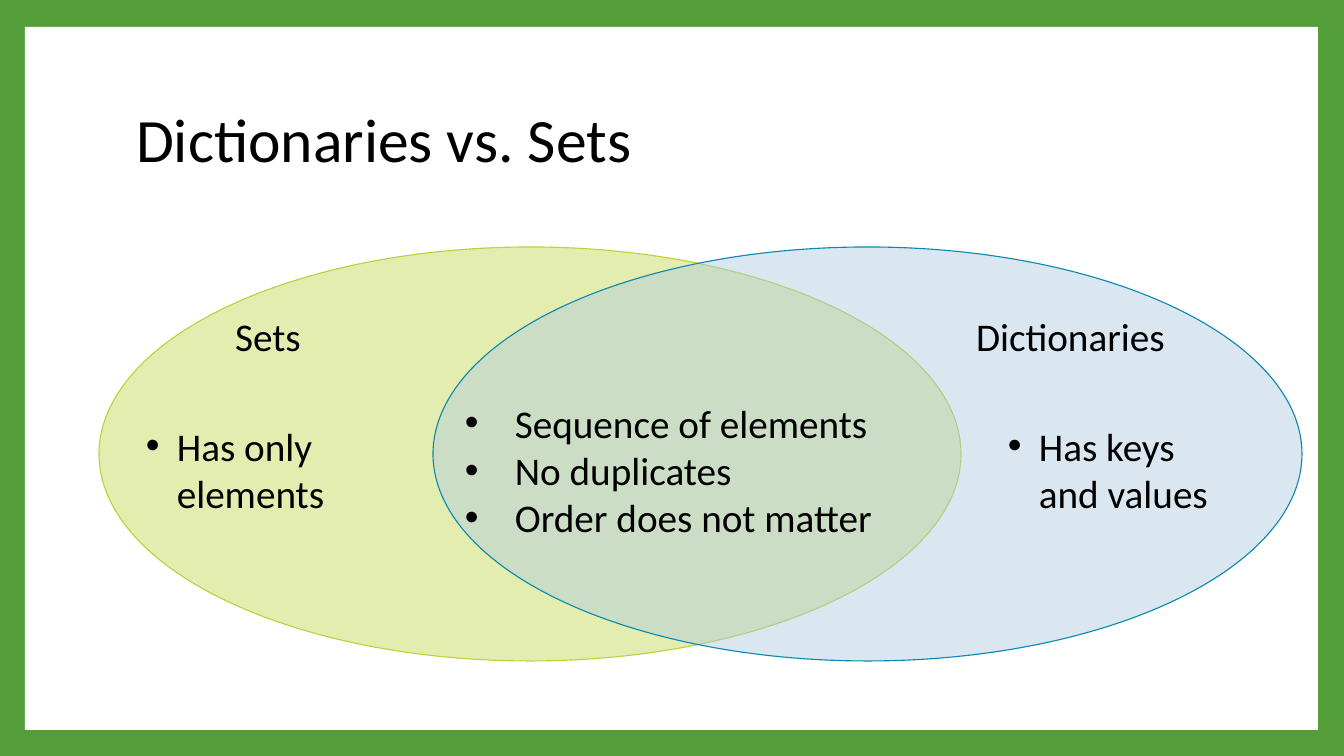
"""Build the Venn slide comparing dictionaries and sets."""
from dataclasses import dataclass

from lxml import etree
from pptx import Presentation
from pptx import util as u
from pptx.dml import color
from pptx.enum import shapes, text
from pptx.oxml import ns

EMU_PER_PX = 914400 / 100.8
COLORS = {
    "frame": "549E39",
    "panel": "FFFFFF",
    "ink": "000000",
    "sets": "E4EDB0",
    "sets_line": "C0CF3A",
    "dictionaries": "ADCBDE",
    "dictionaries_line": "0989B1",
}


@dataclass(frozen=True)
class Box:
    left: int
    top: int
    width: int
    height: int

    def emu(self) -> tuple:
        return tuple(px(n) for n in (self.left, self.top, self.width, self.height))


@dataclass(frozen=True)
class VennSide:
    label: str
    box: Box
    fill: str
    align: text.PP_ALIGN
    opacity: int = 100


@dataclass(frozen=True)
class Traits:
    lines: tuple
    box: Box
    indent: int


SIDES = (
    VennSide("Sets", Box(99, 247, 862, 414), "sets", text.PP_ALIGN.LEFT),
    VennSide("Dictionaries", Box(433, 247, 869, 414), "dictionaries",
             text.PP_ALIGN.RIGHT, opacity=45),
)
TRAITS = (
    Traits(("Has only elements",), Box(136, 417, 319, 105), 31),
    Traits(("Sequence of elements", "No duplicates", "Order does not matter"),
           Box(455, 394, 455, 152), 50),
    Traits(("Has keys and values",), Box(998, 417, 241, 105), 31),
)


def px(length: int) -> u.Emu:
    return u.Emu(round(length * EMU_PER_PX))


def rgb(name: str) -> color.RGBColor:
    return color.RGBColor.from_string(COLORS[name])


def add_bullet(paragraph, indent: int) -> None:
    properties = paragraph._p.get_or_add_pPr()
    properties.set("marL", str(px(indent)))
    properties.set("indent", str(-px(indent)))
    etree.SubElement(properties, ns.qn("a:buFont")).set("typeface", "Arial")
    etree.SubElement(properties, ns.qn("a:buChar")).set("char", "•")


def write(shape, *lines: str, size: int = 28, align=text.PP_ALIGN.LEFT,
          anchor=text.MSO_ANCHOR.TOP, indent: int = 0, spacing: float = 1.0,
          fit=text.MSO_AUTO_SIZE.NONE) -> None:
    frame = shape.text_frame
    frame.text = "\n".join(lines)
    frame.word_wrap = True
    frame.auto_size = fit
    frame.vertical_anchor = anchor
    for paragraph in frame.paragraphs:
        paragraph.alignment = align
        paragraph.line_spacing = spacing
        if indent:
            add_bullet(paragraph, indent)
        for run in paragraph.runs:
            run.font.name = "Calibri"
            run.font.size = u.Pt(size)
            run.font.color.rgb = rgb("ink")


def add_filled(slide, kind, box: Box, fill: str, opacity: int = 100):
    shape = slide.shapes.add_shape(kind, *box.emu())
    shape.shadow.inherit = False
    shape.fill.solid()
    shape.fill.fore_color.rgb = rgb(fill)
    if opacity < 100:
        tint = shape.fill._xPr.find(".//" + ns.qn("a:srgbClr"))
        etree.SubElement(tint, ns.qn("a:alpha")).set("val", str(opacity * 1000))
    return shape


def add_side(slide, side: VennSide) -> None:
    ellipse = add_filled(slide, shapes.MSO_SHAPE.OVAL, side.box, side.fill, side.opacity)
    ellipse.line.color.rgb = rgb(side.fill + "_line")
    ellipse.line.width = u.Pt(0.79)
    write(ellipse, side.label, align=side.align)


def add_traits(slide, traits: Traits) -> None:
    box = slide.shapes.add_textbox(*traits.box.emu())
    write(box, *traits.lines, indent=traits.indent,
          fit=text.MSO_AUTO_SIZE.SHAPE_TO_FIT_TEXT)


def main() -> None:
    deck = Presentation()
    deck.slide_width, deck.slide_height = px(1344), px(756)
    slide = deck.slides.add_slide(deck.slide_layouts.get_by_name("Title Only"))
    slide.background.fill.solid()
    slide.background.fill.fore_color.rgb = rgb("frame")

    panel = add_filled(slide, shapes.MSO_SHAPE.RECTANGLE, Box(25, 27, 1293, 703), "panel")
    panel.line.fill.background()

    title = slide.shapes.title
    title.element.addprevious(panel.element)
    title.left, title.top, title.width, title.height = Box(126, 68, 1089, 149).emu()
    write(title, "Dictionaries vs. Sets", size=44, spacing=0.9,
          anchor=text.MSO_ANCHOR.MIDDLE)

    for side in SIDES:
        add_side(slide, side)
    for traits in TRAITS:
        add_traits(slide, traits)
    deck.save("out.pptx")


if __name__ == "__main__":
    main()
